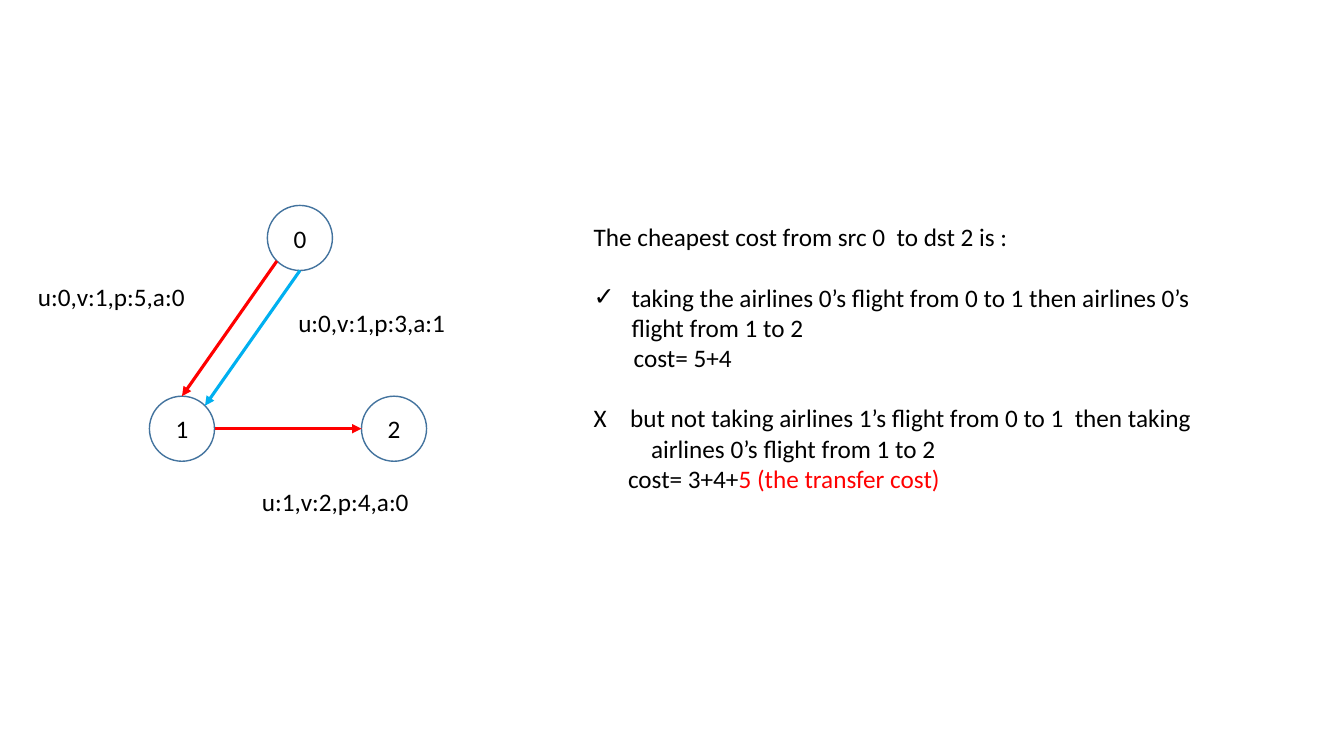
from math import cos, radians, sin

from lxml import etree
from pptx import Presentation
from pptx.dml.color import RGBColor
from pptx.enum.shapes import MSO_CONNECTOR as CONN, MSO_SHAPE as SHAPE
from pptx.enum.text import MSO_ANCHOR as ANCHOR, PP_ALIGN as ALIGN
from pptx.oxml.ns import qn
from pptx.util import Pt

BLACK = RGBColor(0, 0, 0)
WHITE = RGBColor(255, 255, 255)
RED = RGBColor(255, 0, 0)
BLUE = RGBColor(0, 0xB0, 0xF0)
OUTLINE = RGBColor(0x43, 0x73, 0x9E)

FONT = "Calibri"
RADIUS = 23.25
LINE_HEIGHT = 21.5
# Airport number: centre of its circle
AIRPORTS = {"0": (214.25, 170), "1": (130, 306.25), "2": (281.5, 306.25)}


def style(p, color=BLACK):
    p.font.name, p.font.size, p.font.color.rgb = FONT, Pt(18), color


def add_airport(s, number):
    x, y = AIRPORTS[number]
    sp = s.shapes.add_shape(SHAPE.OVAL, Pt(x - RADIUS), Pt(y - RADIUS),
                            Pt(2 * RADIUS), Pt(2 * RADIUS))
    sp.shadow.inherit = False
    sp.fill.solid()
    sp.fill.fore_color.rgb = WHITE
    sp.line.color.rgb = OUTLINE
    sp.line.width = Pt(1)
    tf = sp.text_frame
    tf.vertical_anchor = ANCHOR.MIDDLE
    p = tf.paragraphs[0]
    p.text, p.alignment = number, ALIGN.CENTER
    style(p)


def rim_point(number, angle):
    """Point on an airport's circle, angle clockwise from the right."""
    x, y = AIRPORTS[number]
    a = radians(angle)
    return Pt(x + RADIUS * cos(a)), Pt(y + RADIUS * sin(a))


def add_flight(s, src, src_angle, dst, dst_angle, color):
    line = s.shapes.add_connector(CONN.STRAIGHT, *rim_point(src, src_angle),
                                  *rim_point(dst, dst_angle))
    line.line.color.rgb = color
    line.line.width = Pt(2.25)
    ln = line._element.spPr.find(qn("a:ln"))
    etree.SubElement(ln, qn("a:tailEnd"), type="triangle")
    etree.SubElement(line._element.spPr, qn("a:effectLst"))


def add_text_box(s, x, y, w, h):
    tf = s.shapes.add_textbox(Pt(x), Pt(y), Pt(w), Pt(h)).text_frame
    tf.word_wrap = True
    return tf


def add_label(s, text, x, y):
    p = add_text_box(s, x, y, 160, 29).paragraphs[0]
    p.text = text
    style(p)


def add_line(tf, text, left=0, hanging=0, gap=0, bullet=None):
    p = tf.add_paragraph() if tf.text else tf.paragraphs[0]
    p.text = text
    p.space_before = Pt(gap)
    style(p)
    pPr = p._p.get_or_add_pPr()
    pPr.set("marL", str(Pt(left)))
    pPr.set("indent", str(-Pt(hanging)))
    if bullet:
        # Bullet comes before the default run properties
        run_defaults = pPr.find(qn("a:defRPr"))
        run_defaults.addprevious(etree.Element(qn("a:buFont"), typeface=FONT))
        run_defaults.addprevious(etree.Element(qn("a:buChar"), char=bullet))
    return p


def main():
    prs = Presentation()
    prs.slide_width, prs.slide_height = Pt(960), Pt(540)
    s = prs.slides.add_slide(prs.slide_layouts[6])

    # Flight graph
    for number in AIRPORTS:
        add_airport(s, number)
    add_flight(s, "0", 135, "1", 270, RED)
    add_flight(s, "1", 0, "2", 180, RED)
    add_flight(s, "0", 90, "1", 315, BLUE)

    # Flight labels
    add_label(s, "u:0,v:1,p:5,a:0", 20, 197.5)
    add_label(s, "u:0,v:1,p:3,a:1", 206, 216)
    add_label(s, "u:1,v:2,p:4,a:0", 180, 343.5)

    # Explanation
    tf = add_text_box(s, 417, 154.75, 449.25, 204)
    add_line(tf, "The cheapest cost from src 0  to dst 2 is :")
    add_line(tf, "taking the airlines 0’s flight from 0 to 1 then airlines 0’s "
             "flight from 1 to 2", 27, 27, LINE_HEIGHT, "✓")
    add_line(tf, "cost= 5+4", 28.5)
    add_line(tf, "X\tbut not taking airlines 1’s flight from 0 to 1  then taking",
             26, 26, LINE_HEIGHT)
    add_line(tf, "airlines 0’s flight from 1 to 2", 41)
    p = add_line(tf, "cost= 3+4+", 24.5)
    r = p.add_run()
    r.text = "5 (the transfer cost)"
    r.font.color.rgb = RED

    prs.save("out.pptx")


if __name__ == "__main__":
    main()
